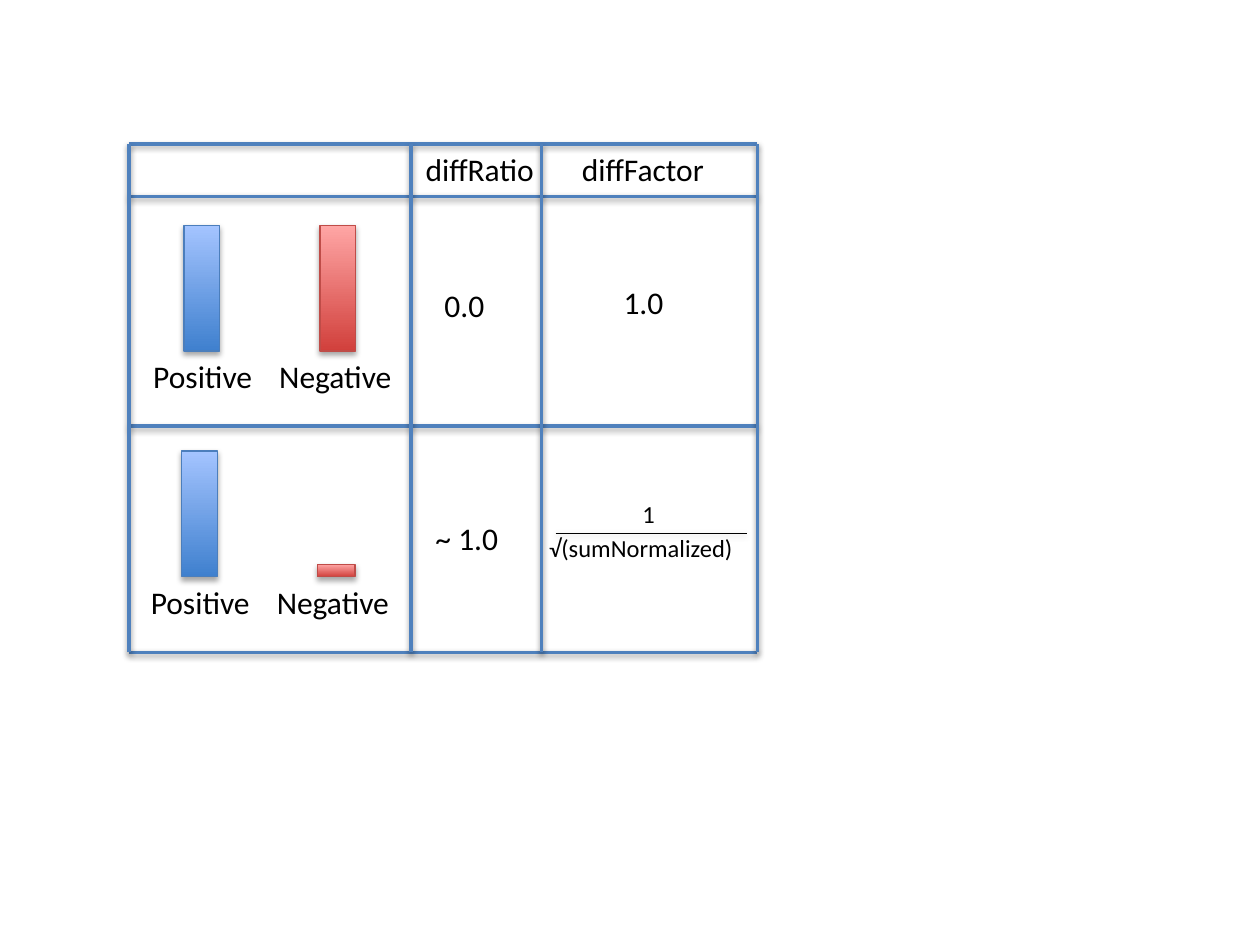
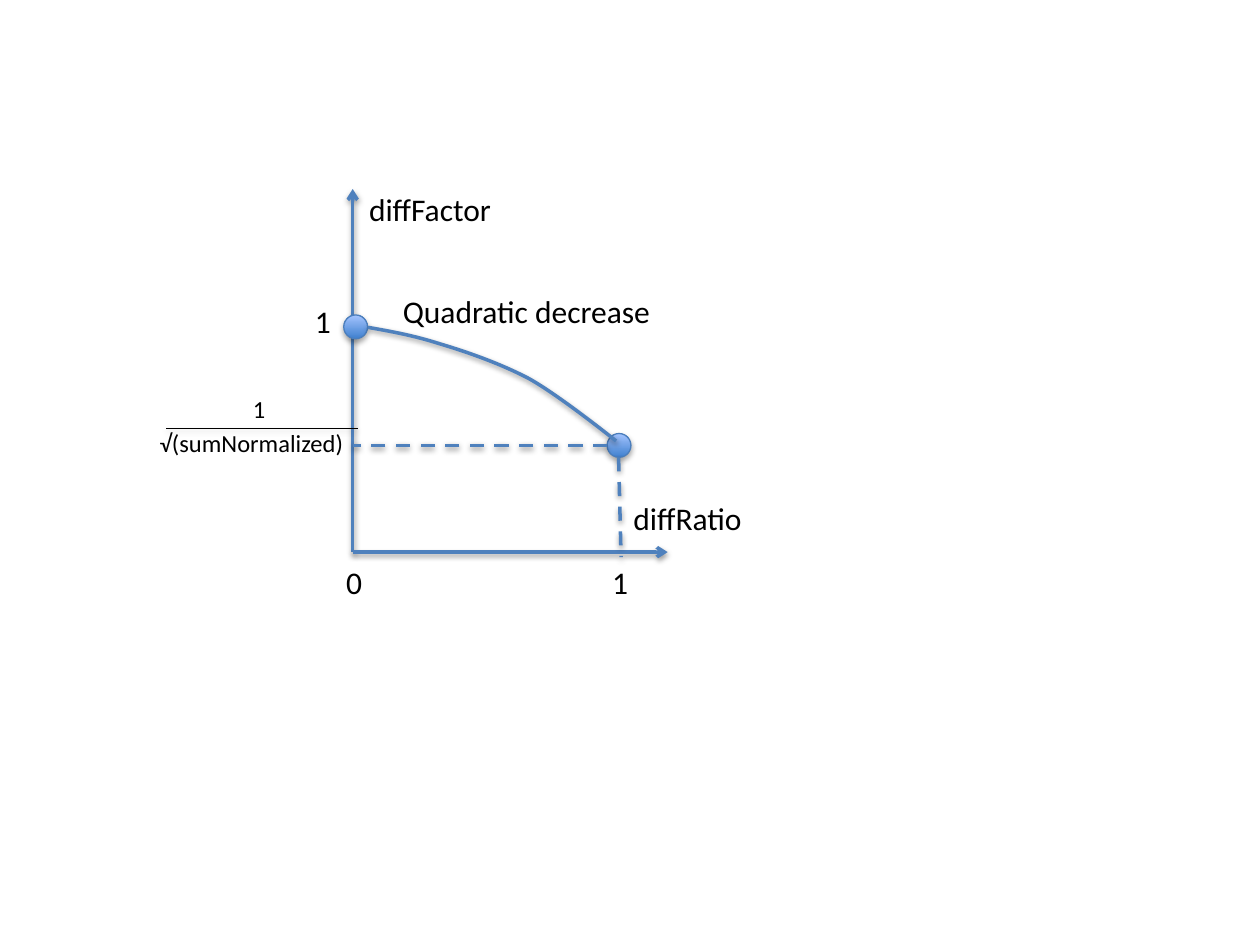
from lxml import etree
from pptx import Presentation
from pptx import util as u
from pptx.dml import color
from pptx.enum import dml, shapes, text
from pptx.oxml import ns

# Shared look
HEX = {"line": "4F81BD", "ink": "000000"}
TONES = {  # gradient foot, gradient top, outline
    "blue": ("3F80CE", "A4C4FF", "4B7EBC"),
    "red": ("D1403C", "FFA6A5", "BF4C48"),
}
FONT = {"name": "Calibri", "size": u.Pt(18)}
SMALL = {"name": "Calibri", "size": u.Pt(14)}
FRAME = {"auto_size": text.MSO_AUTO_SIZE.SHAPE_TO_FIT_TEXT}
SHADE = {  # distance in EMU, alpha in thousandths of a percent
    "line": (20000, 38000),
    "solid": (23000, 35000),
}
RECT, OVAL = shapes.MSO_SHAPE.RECTANGLE, shapes.MSO_SHAPE.OVAL

# Slide 1: grid lines, bar pairs, cell texts (all in cm)
COLS = [2.6, 8.28, 10.92, 15.27]
ROWS = [2.9, 3.96, 8.59, 13.15]
BARS = [("Positive", "blue", 0, 0.87, 2.54), ("Negative", "red", 2.54, 3.61, 2.82)]
PAIRS = [  # left, base, (width, height) of each bar
    (2.84, 7.08, [(0.72, 2.54), (0.72, 2.54)]),
    (2.79, 11.63, [(0.72, 2.54), (0.76, 0.25)]),
]
CELLS = [
    ("diffRatio", 8.33, 2.9, 2.72),
    ("diffFactor", 11.48, 2.9, 3.02),
    ("0.0", 8.71, 5.64, 1.32),
    ("1.0", 12.32, 5.59, 1.32),
    ("~ 1.0", 8.53, 10.34, 1.78),
]

# Slide 2: axes, marks, curve and labels
ZERO = (7.11, 11.13)
ENDS = [(7.11, 3.81), (13.46, 11.13)]
DOTS = [(6.93, 6.35), (12.24, 8.74)]
DROPS = [((12.24, 8.98), (7.11, 8.98)), ((12.47, 9.22), (12.52, 11.23))]
CURVE = [
    (7.42, 6.6),
    (7.87, 6.68), (8.33, 6.76), (8.86, 6.93),
    (9.4, 7.09), (10.06, 7.32), (10.64, 7.62),
    (11.25, 7.95), (12.42, 8.89), (12.42, 8.89),
]
LABELS = [
    ("0", 6.73, 11.23, 0.84),
    ("1", 12.09, 11.23, 0.84),
    ("diffRatio", 12.52, 9.93, 2.72),
    ("diffFactor", 7.19, 3.71, 3.02),
    ("1", 6.1, 5.97, 0.89),
    ("Quadratic decrease", 7.87, 5.77, 5.59),
]


def cms(*nums):
    return [u.Cm(n) for n in nums]


def style(obj, vals):
    for key, val in vals.items():
        setattr(obj, key, val)


def rgb(code):
    return color.RGBColor.from_string(code)


def shade(item, kind):
    dist, alpha = SHADE[kind]
    fx = etree.SubElement(item._element.spPr, ns.qn("a:effectLst"))
    drop = etree.SubElement(fx, ns.qn("a:outerShdw"), blurRad="40000",
                            dist=str(dist), dir="5400000", rotWithShape="0")
    tint = etree.SubElement(drop, ns.qn("a:srgbClr"), val=HEX["ink"])
    etree.SubElement(tint, ns.qn("a:alpha"), val=str(alpha))


def stroke(item, code, width):
    item.line.color.rgb = rgb(code)
    item.line.width = u.Pt(width)


def rule(tree, start, end, tone="line", width=2, dash=False, arrow=False):
    item = tree.add_connector(shapes.MSO_CONNECTOR.STRAIGHT, *cms(*start, *end))
    stroke(item, HEX[tone], width)
    if dash:
        item.line.dash_style = dml.MSO_LINE.DASH
    if arrow:
        etree.SubElement(item.line._get_or_add_ln(), ns.qn("a:tailEnd"), type="arrow")
    shade(item, "line")


def solid(tree, kind, tone, *box):
    foot, top, edge = TONES[tone]
    item = tree.add_shape(kind, *cms(*box))
    item.fill.gradient()
    item.fill.gradient_angle = 90
    for stop, code in zip(item.fill.gradient_stops, (foot, top)):
        stop.color.rgb = rgb(code)
    stroke(item, edge, 0.75)
    shade(item, "solid")


def label(tree, words, x, y, wide, high=1.02, font=FONT, wrap=False):
    frame = tree.add_textbox(*cms(x, y, wide, high)).text_frame
    style(frame, {**FRAME, "word_wrap": wrap})
    run = frame.paragraphs[0].add_run()
    run.text = words
    style(run.font, font)
    run.font.color.rgb = rgb(HEX["ink"])


def ratio(tree, x, y):
    group = tree.add_group_shape().shapes
    label(group, "√(sumNormalized)", x, y + 0.69, 4.8, 0.86, SMALL, True)
    label(group, "1", x + 1.88, y, 2.57, 0.86, SMALL, True)
    rule(group, (x + 0.38, y + 0.81), (x + 4.24, y + 0.81), "ink", 0.25)


def curve(tree, points):
    first, *rest = [cms(*p) for p in points]
    pen = tree.build_freeform(*first, scale=1.0)
    pen.add_line_segments(rest, close=False)
    item = pen.convert_to_shape()
    # Turn each three straight segments into one Bézier segment
    track = item._element.xpath(".//a:path")[0]
    parts = track.findall(ns.qn("a:lnTo"))
    for i in range(0, len(parts), 3):
        bend = etree.SubElement(track, ns.qn("a:cubicBezTo"))
        for part in parts[i:i + 3]:
            bend.append(part[0])
            track.remove(part)
    item.fill.background()
    stroke(item, HEX["line"], 2)
    shade(item, "line")


def grid(tree):
    for left, base, sizes in PAIRS:
        for (name, tone, text_x, bar_x, wide), (w, h) in zip(BARS, sizes):
            solid(tree, RECT, tone, left + bar_x, base - h, w, h)
            label(tree, name, left + text_x, base, wide)
    for y in ROWS:
        rule(tree, (COLS[0], y), (COLS[-1], y))
    for x in COLS:
        rule(tree, (x, ROWS[-1]), (x, ROWS[0]))
    for cell in CELLS:
        label(tree, *cell)
    ratio(tree, 10.82, 9.93)


def graph(tree):
    for end in ENDS:
        rule(tree, ZERO, end, arrow=True)
    for dot in DOTS:
        solid(tree, OVAL, "blue", *dot, 0.48, 0.48)
    for start, end in DROPS:
        rule(tree, start, end, dash=True)
    curve(tree, CURVE)
    ratio(tree, 2.97, 7.82)
    for item in LABELS:
        label(tree, *item)


def main():
    deck = Presentation()
    style(deck, {"slide_width": u.Cm(25.4), "slide_height": u.Cm(19.05)})
    for draw in (grid, graph):
        draw(deck.slides.add_slide(deck.slide_layouts[6]).shapes)
    deck.save("out.pptx")


if __name__ == "__main__":
    main()
